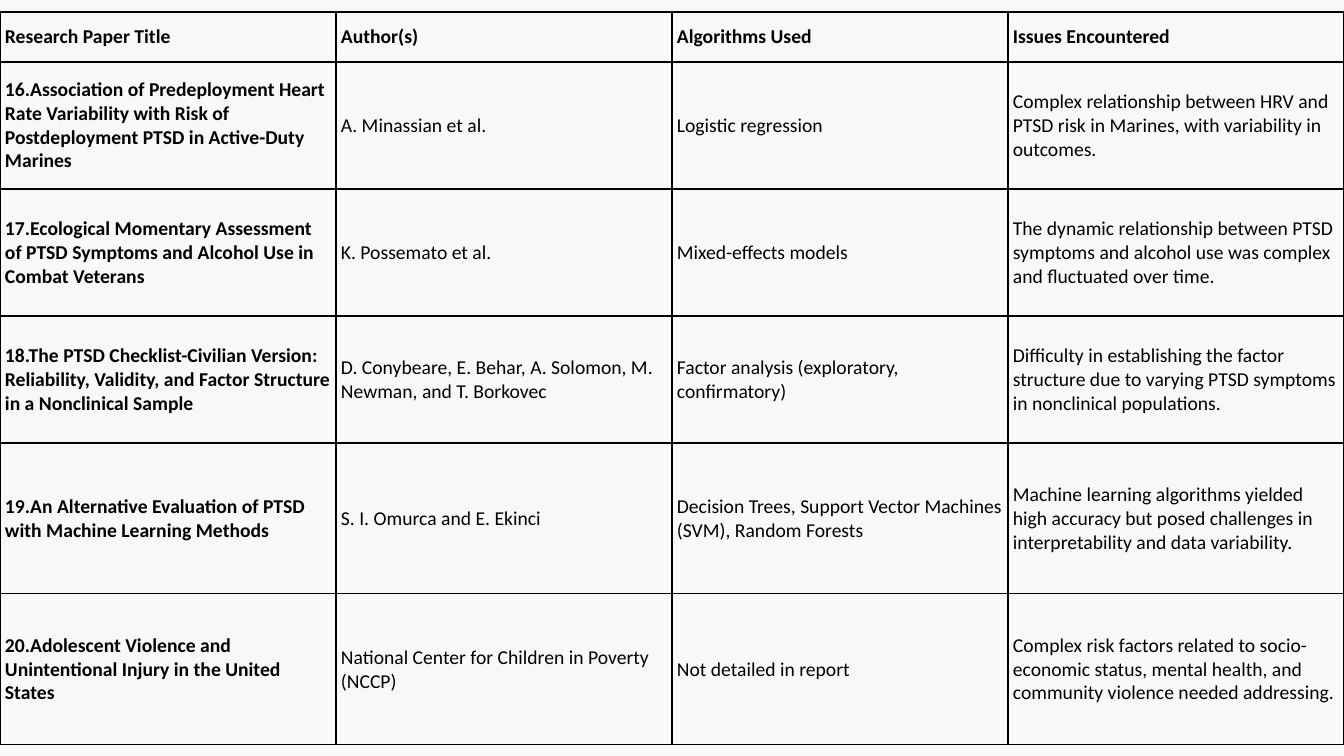
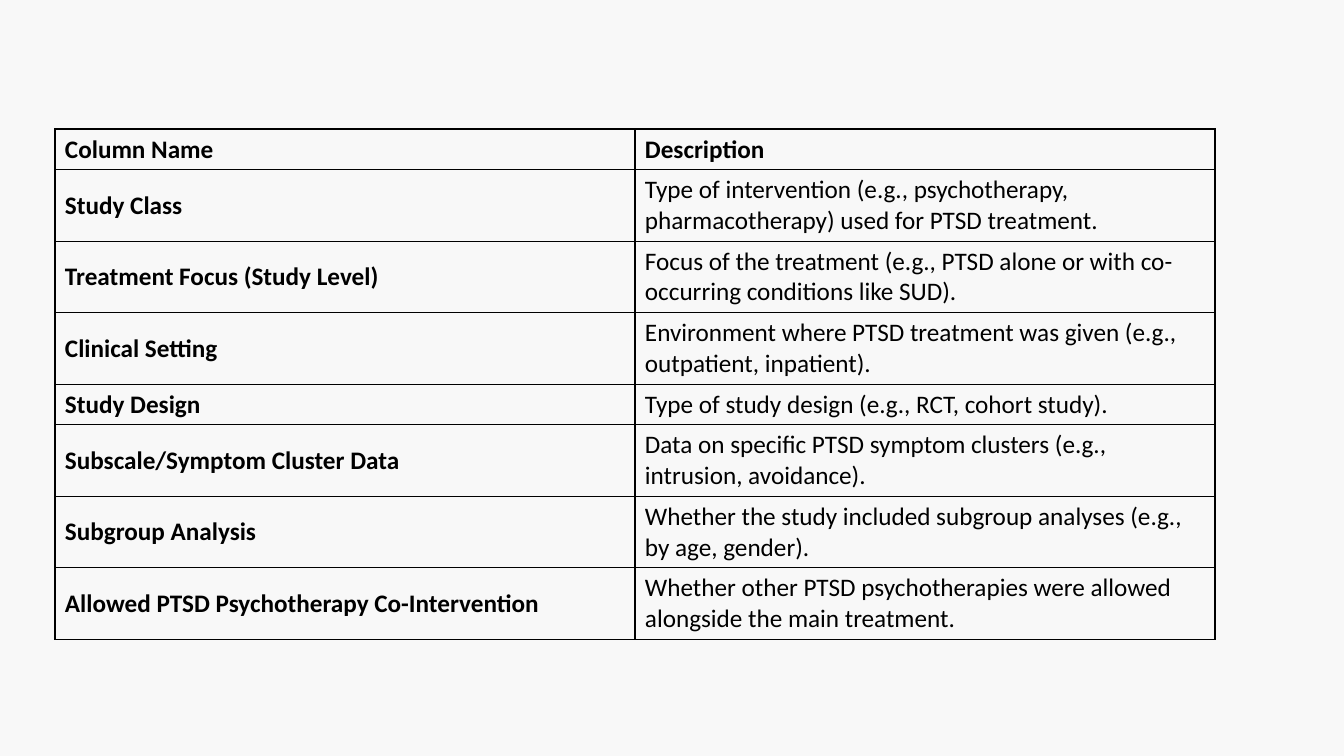
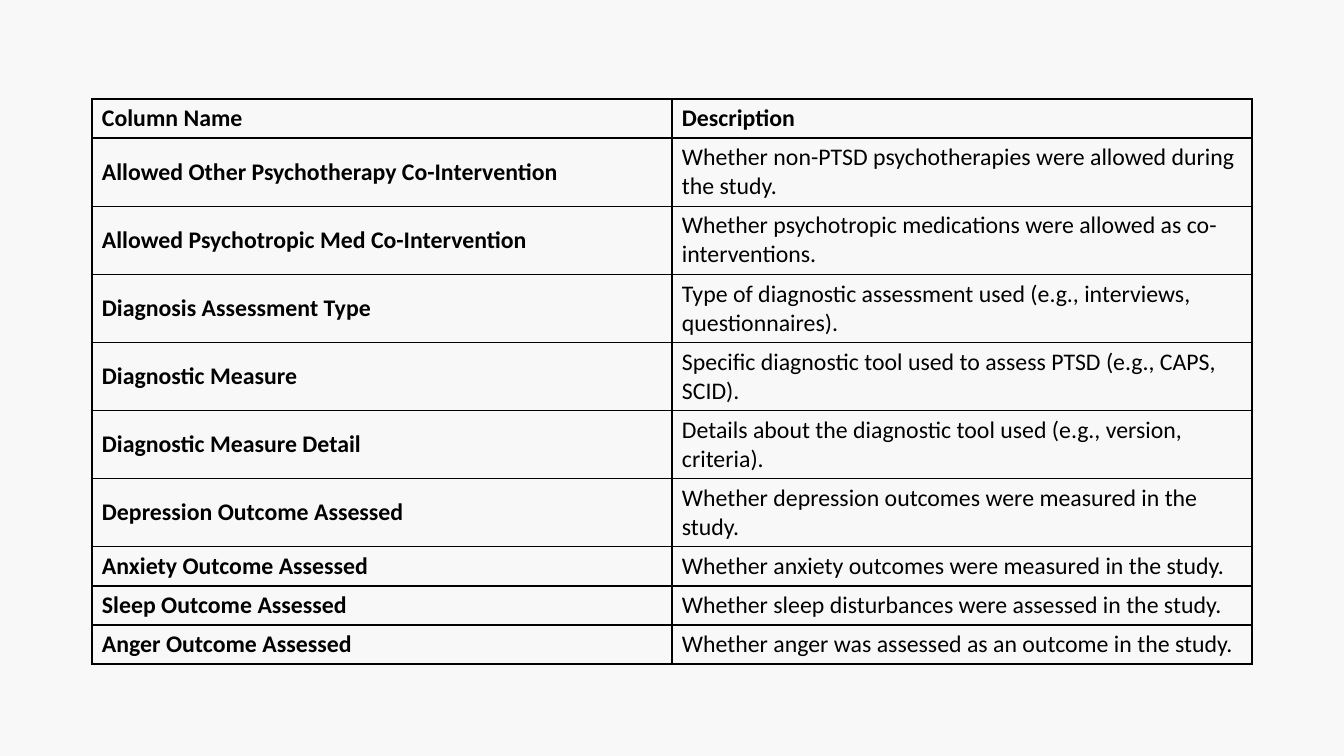
from lxml import etree
from pptx import Presentation
from pptx.dml.color import RGBColor
from pptx.enum.text import MSO_ANCHOR
from pptx.oxml.ns import qn
from pptx.util import Pt

MIDDLE = MSO_ANCHOR.MIDDLE
SCALE = 914400 / 100.8  # EMU in one px
COLORS = {"back": "F8F8F8", "ink": "000000"}
FONT = "Calibri"
SIDES = ("a:lnL", "a:lnR", "a:lnT", "a:lnB")


def px(n):
    return round(n * SCALE)


class Deck:
    """Holds the shared style and the current slide."""

    def __init__(self, width, height):
        self.prs = Presentation()
        self.prs.slide_width = px(width)
        self.prs.slide_height = px(height)
        self.slide = None

    def color(self, name):
        return RGBColor.from_string(COLORS[name])

    def page(self):
        self.slide = self.prs.slides.add_slide(self.prs.slide_layouts[6])
        fill = self.slide.background.fill
        fill.solid()
        fill.fore_color.rgb = self.color("back")

    def border(self, cell):
        props = cell._tc.get_or_add_tcPr()
        for i, side in enumerate(SIDES):
            line = etree.Element(qn(side), w=str(Pt(1)))
            fill = etree.SubElement(line, qn("a:solidFill"))
            etree.SubElement(fill, qn("a:srgbClr"), val=COLORS["ink"])
            props.insert(i, line)

    def cell(self, cell, text, size, bold, inset):
        cell.fill.background()
        cell.vertical_anchor = MIDDLE
        cell.margin_left = cell.margin_right = px(inset[0])
        cell.margin_top = cell.margin_bottom = px(inset[1])
        run = cell.text_frame.paragraphs[0].add_run()
        run.text = text
        run.font.name = FONT
        run.font.size = Pt(size)
        run.font.bold = bold
        run.font.color.rgb = self.color("ink")
        self.border(cell)

    def table(self, left, top, width, highs, rows, size, inset=(10, 5)):
        """Equal columns; the head row and the first column are bold."""
        count = len(rows[0])
        grid = self.slide.shapes.add_table(
            len(rows), count, px(left), px(top), px(width), px(sum(highs))).table
        grid.first_row = grid.horz_banding = False
        for col in grid.columns:
            col.width = px(width / count)
        for r, (high, row) in enumerate(zip(highs, rows)):
            grid.rows[r].height = px(high)
            for c, text in enumerate(row):
                self.cell(grid.cell(r, c), text, size, r == 0 or c == 0, inset)


PAPERS = [
    ("Research Paper Title", "Author(s)", "Algorithms Used", "Issues Encountered"),
    ("16.Association of Predeployment Heart Rate Variability with Risk of "
     "Postdeployment PTSD in Active-Duty Marines",
     "A. Minassian et al.", "Logistic regression",
     "Complex relationship between HRV and PTSD risk in Marines, with "
     "variability in outcomes."),
    ("17.Ecological Momentary Assessment of PTSD Symptoms and Alcohol Use in "
     "Combat Veterans",
     "K. Possemato et al.", "Mixed-effects models",
     "The dynamic relationship between PTSD symptoms and alcohol use was "
     "complex and fluctuated over time."),
    ("18.The PTSD Checklist-Civilian Version: Reliability, Validity, and "
     "Factor Structure in a Nonclinical Sample",
     "D. Conybeare, E. Behar, A. Solomon, M. Newman, and T. Borkovec",
     "Factor analysis (exploratory, confirmatory)",
     "Difficulty in establishing the factor structure due to varying PTSD "
     "symptoms in nonclinical populations."),
    ("19.An Alternative Evaluation of PTSD with Machine Learning Methods",
     "S. I. Omurca and E. Ekinci",
     "Decision Trees, Support Vector Machines (SVM), Random Forests",
     "Machine learning algorithms yielded high accuracy but posed challenges "
     "in interpretability and data variability."),
    ("20.Adolescent Violence and Unintentional Injury in the United States",
     "National Center for Children in Poverty (NCCP)",
     "Not detailed in report",
     "Complex risk factors related to socio-economic status, mental health, "
     "and community violence needed addressing."),
]

HEAD = ("Column Name", "Description")

STUDY = [
    HEAD,
    ("Study Class",
     "Type of intervention (e.g., psychotherapy, pharmacotherapy) used for "
     "PTSD treatment."),
    ("Treatment Focus (Study Level)",
     "Focus of the treatment (e.g., PTSD alone or with co-occurring "
     "conditions like SUD)."),
    ("Clinical Setting",
     "Environment where PTSD treatment was given (e.g., outpatient, inpatient)."),
    ("Study Design", "Type of study design (e.g., RCT, cohort study)."),
    ("Subscale/Symptom Cluster Data",
     "Data on specific PTSD symptom clusters (e.g., intrusion, avoidance)."),
    ("Subgroup Analysis",
     "Whether the study included subgroup analyses (e.g., by age, gender)."),
    ("Allowed PTSD Psychotherapy Co-Intervention",
     "Whether other PTSD psychotherapies were allowed alongside the main "
     "treatment."),
]

OUTCOMES = [
    HEAD,
    ("Allowed Other Psychotherapy Co-Intervention",
     "Whether non-PTSD psychotherapies were allowed during the study."),
    ("Allowed Psychotropic Med Co-Intervention",
     "Whether psychotropic medications were allowed as co-interventions."),
    ("Diagnosis Assessment Type",
     "Type of diagnostic assessment used (e.g., interviews, questionnaires)."),
    ("Diagnostic Measure",
     "Specific diagnostic tool used to assess PTSD (e.g., CAPS, SCID)."),
    ("Diagnostic Measure Detail",
     "Details about the diagnostic tool used (e.g., version, criteria)."),
    ("Depression Outcome Assessed",
     "Whether depression outcomes were measured in the study."),
    ("Anxiety Outcome Assessed",
     "Whether anxiety outcomes were measured in the study."),
    ("Sleep Outcome Assessed",
     "Whether sleep disturbances were assessed in the study."),
    ("Anger Outcome Assessed",
     "Whether anger was assessed as an outcome in the study."),
]


def main():
    deck = Deck(1344, 756)

    # Research papers
    deck.page()
    deck.table(0, 12, 1344, [50] + [127] * 3 + [151] * 2, PAPERS, 14, (5, 3))

    # Study columns: rows of one or two lines
    deck.page()
    one, two = 40, 71
    deck.table(55, 129, 1160, [one] + [two] * 3 + [one] + [two] * 3, STUDY, 18)

    # Outcome columns
    deck.page()
    one, two = 39, 68
    deck.table(92, 99, 1160, [one] + [two] * 6 + [one] * 3, OUTCOMES, 17)

    deck.prs.save("out.pptx")


if __name__ == "__main__":
    main()
